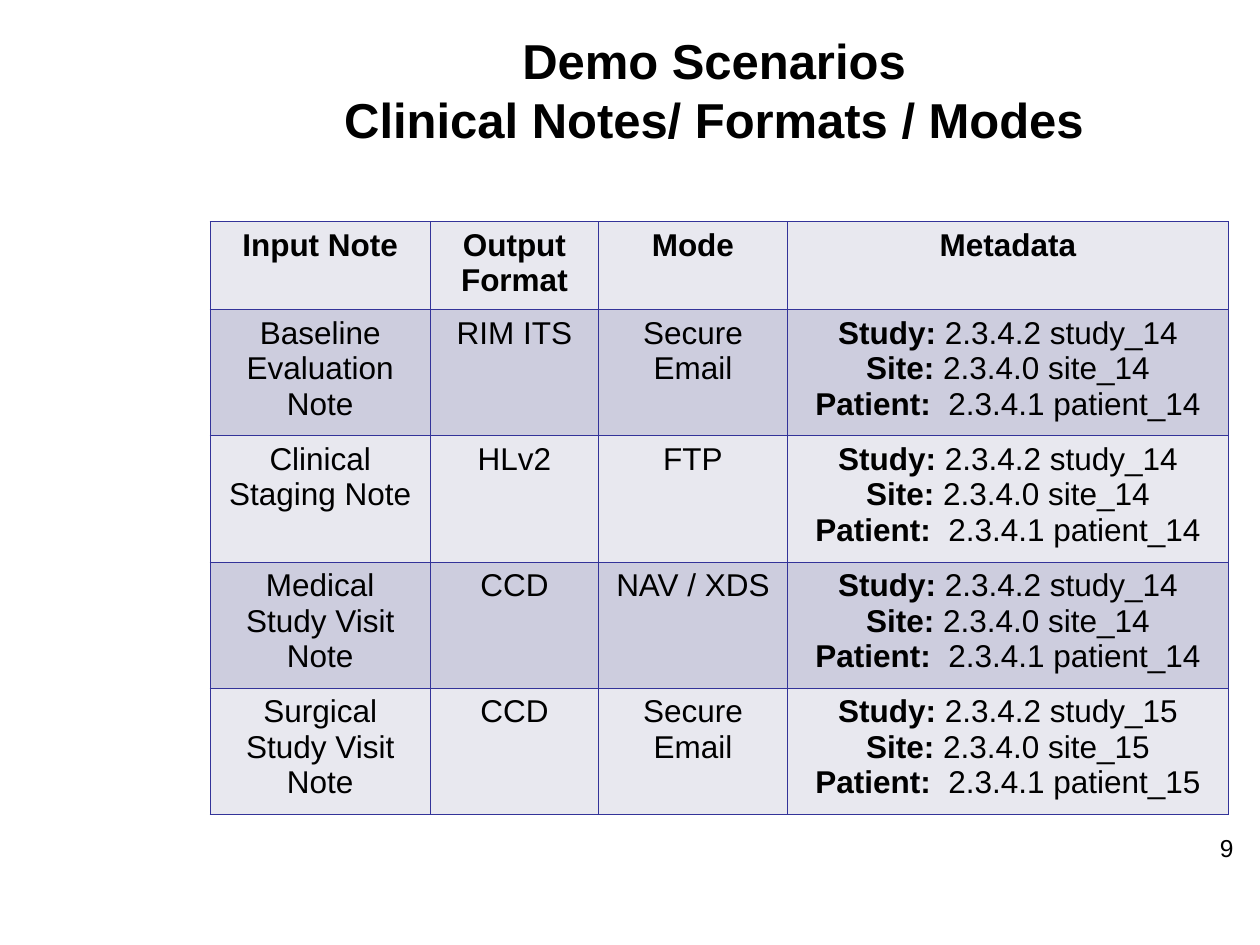
import dataclasses

import lxml.etree
import pptx
import pptx.dml.color
import pptx.enum.text
import pptx.oxml.ns
import pptx.slide
import pptx.table
import pptx.text.text
import pptx.util

RGB = pptx.dml.color.RGBColor
ALIGN = pptx.enum.text.PP_ALIGN
ANCHOR = pptx.enum.text.MSO_ANCHOR

BLACK = RGB(0x00, 0x00, 0x00)
LIGHT = RGB(0xE8, 0xE8, 0xEF)
DARK = RGB(0xCD, 0xCD, 0xDE)
BLUE = RGB(0x33, 0x33, 0x99)

UNIT = 1 / 12  # grid step in inches
COLS = (21, 16, 18, 42)
ROWS = (8.4, 12, 12, 12, 12)
HEADS = ("Input Note", "Output Format", "Mode", "Metadata")

Run = tuple[str, bool]


@dataclasses.dataclass(frozen=True)
class Box:
    """A place on the grid, in steps."""
    left: float
    top: float
    width: float
    height: float


@dataclasses.dataclass(frozen=True)
class Demo:
    note: str
    form: str
    mode: str
    num: int


TITLE = Box(14, 2, 108, 13)
PAGE = Box(115, 78.75, 8, 6.25)
GRID = Box(20, 21.1, sum(COLS), sum(ROWS))
DEMOS = (
    Demo("Baseline Evaluation Note", "RIM ITS", "Secure Email", 14),
    Demo("Clinical Staging Note", "HLv2", "FTP", 14),
    Demo("Medical Study Visit Note", "CCD", "NAV / XDS", 14),
    Demo("Surgical Study Visit Note", "CCD", "Secure Email", 15),
)


def steps(count: float) -> int:
    """Turn grid steps into a length."""
    return pptx.util.Inches(count * UNIT)


def place(box: Box) -> tuple[int, ...]:
    return tuple(steps(n) for n in dataclasses.astuple(box))


def write(frame: pptx.text.text.TextFrame, lines: list[list[Run]], *,
          size: float, align: ALIGN = ALIGN.CENTER) -> None:
    """Fill a frame with one paragraph per line of (text, bold) runs."""
    frame.word_wrap = True
    for i, line in enumerate(lines):
        para = frame.paragraphs[0] if i == 0 else frame.add_paragraph()
        para.alignment = align
        for text, bold in line:
            run = para.add_run()
            run.text = text
            run.font.name = "Arial"
            run.font.size = pptx.util.Pt(size)
            run.font.bold = bold
            run.font.color.rgb = BLACK


def facts(num: int) -> list[list[Run]]:
    """Give the metadata lines of one demo."""
    return [
        [("Study:", True), (f" 2.3.4.2 study_{num}", False)],
        [("Site:", True), (f" 2.3.4.0 site_{num}", False)],
        [("Patient:", True), (f"  2.3.4.1 patient_{num}", False)],
    ]


def edge(cell: pptx.table._Cell) -> None:
    """Draw the four borders of a cell."""
    props = cell._tc.get_or_add_tcPr()
    name = pptx.oxml.ns.qn
    for side in ("a:lnL", "a:lnR", "a:lnT", "a:lnB"):
        line = lxml.etree.SubElement(props, name(side), w=str(pptx.util.Pt(0.45)))
        fill = lxml.etree.SubElement(line, name("a:solidFill"))
        lxml.etree.SubElement(fill, name("a:srgbClr"), val=str(BLUE))


def draw_title(slide: pptx.slide.Slide) -> None:
    title = slide.shapes.title
    title.left, title.top, title.width, title.height = place(TITLE)
    frame = title.text_frame
    frame.auto_size = pptx.enum.text.MSO_AUTO_SIZE.NONE
    frame.vertical_anchor = ANCHOR.MIDDLE
    write(frame, [[("Demo Scenarios", True)],
                  [("Clinical Notes/ Formats / Modes", True)]], size=28)


def draw_table(slide: pptx.slide.Slide) -> None:
    rows = [[[[(head, True)]] for head in HEADS]]
    for demo in DEMOS:
        plain = [[[(text, False)]] for text in (demo.note, demo.form, demo.mode)]
        rows.append(plain + [facts(demo.num)])

    table = slide.shapes.add_table(len(ROWS), len(COLS), *place(GRID)).table
    table.first_row = table.horz_banding = False
    for col, width in zip(table.columns, COLS):
        col.width = steps(width)
    for r, (row, height) in enumerate(zip(rows, ROWS)):
        table.rows[r].height = steps(height)
        for c, lines in enumerate(row):
            cell = table.cell(r, c)
            edge(cell)
            cell.fill.solid()
            cell.fill.fore_color.rgb = DARK if r % 2 else LIGHT
            write(cell.text_frame, lines, size=18)


def main() -> None:
    deck = pptx.Presentation()
    deck.slide_width = pptx.util.Inches(10)
    deck.slide_height = pptx.util.Inches(7.5)
    slide = deck.slides.add_slide(deck.slide_layouts[5])
    draw_title(slide)
    page = slide.shapes.add_textbox(*place(PAGE))
    write(page.text_frame, [[("9", False)]], size=14, align=ALIGN.LEFT)
    draw_table(slide)
    deck.save("out.pptx")


if __name__ == "__main__":
    main()
